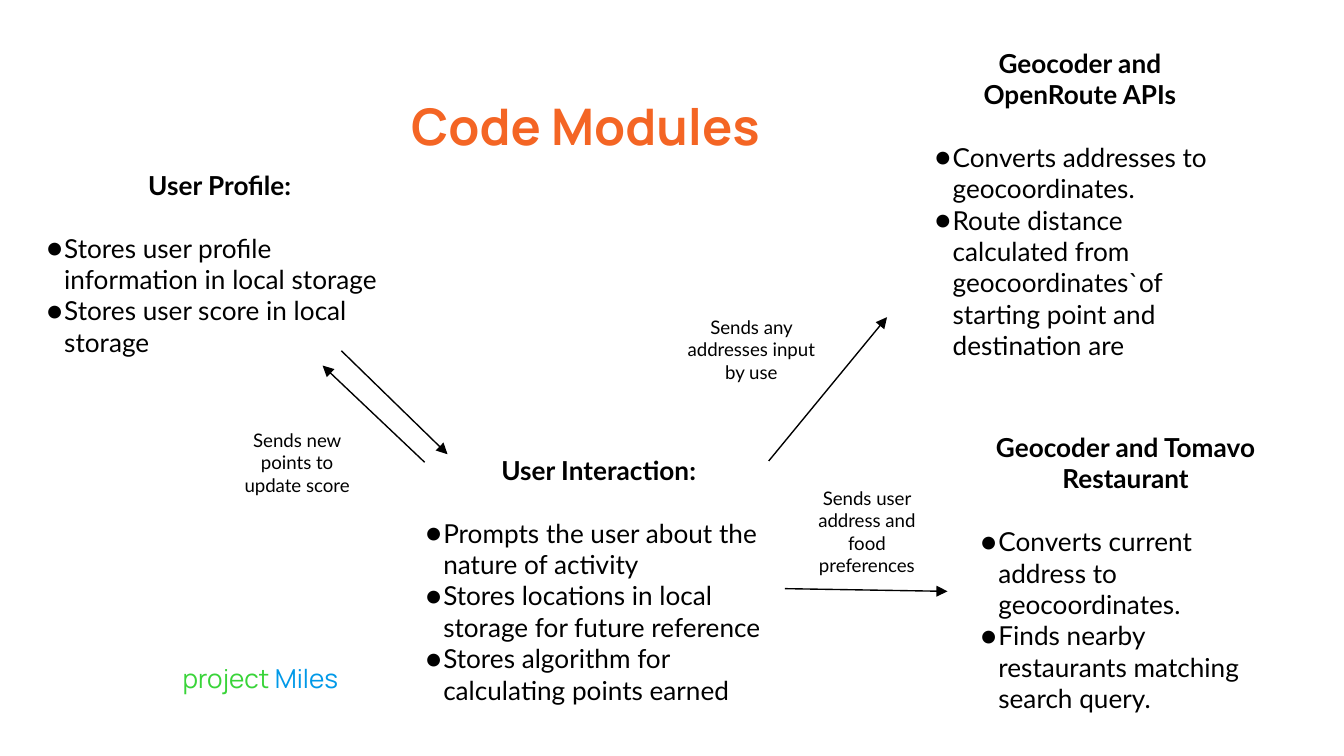
from dataclasses import dataclass

from lxml.etree import SubElement
from pptx import Presentation
from pptx.dml.color import RGBColor
from pptx.enum.shapes import MSO_CONNECTOR
from pptx.enum.text import MSO_ANCHOR, MSO_AUTO_SIZE, PP_ALIGN
from pptx.oxml.ns import qn
from pptx.util import Inches, Pt


@dataclass(frozen=True)
class Theme:
    body: str = "Lato"
    brand: str = "Manrope"
    ink: str = "000000"
    orange: str = "F46524"
    green: str = "39D439"
    blue: str = "0099E8"
    big: int = 27
    text: int = 14
    note: int = 10
    gap: float = 16.8  # one line of body text
    rule: float = 0.75


THEME = Theme()
COLS = 100
ROWS = COLS * 9 / 16  # widescreen
CELL = Inches(0.1)  # square grid cells

# Left, top, width, height in grid cells; heading; bullet points
MODULES = [
    ((2.5, 11.6, 27.7, 13.3), "User Profile:", [
        "Stores user profile information in local storage",
        "Stores user score in local storage"]),
    ((30.7, 32.8, 27.7, 20.1), "User Interaction:", [
        "Prompts the user about the nature of activity",
        "Stores locations in local storage for future reference",
        "Stores algorithm for calculating points earned"]),
    ((68.6, 2.5, 23.5, 26.9), "Geocoder and OpenRoute APIs", [
        "Converts addresses to geocoordinates.",
        "Route distance calculated from geocoordinates`of "
        "starting point and destination are"]),
    ((72, 31.1, 23.5, 23.5), "Geocoder and Tomavo Restaurant", [
        "Converts current address to geocoordinates.",
        "Finds nearby restaurants matching search query."]),
]

NOTES = [
    ((16.2, 30.9, 11.8, 7.2), "Sends new points to update score"),
    ((50, 22.5, 11.8, 6.9), "Sends any addresses input by use"),
    ((58.6, 35.2, 11.8, 7.7), "Sends user address and food preferences"),
]

# Start and end points in grid cells
ARROWS = [
    ((25.4, 26.1), (33.3, 33.8)),
    ((31.6, 34.4), (24, 27.2)),
    ((57.2, 34.3), (66, 23.6)),
    ((58.4, 43.8), (70.5, 44)),
]


def grid(cells):
    return [round(n * CELL) for n in cells]


def frame(shape):
    """Set the common margins, wrapping and anchor of a text shape."""
    text = shape.text_frame
    text.word_wrap = True
    text.auto_size = MSO_AUTO_SIZE.NONE
    text.vertical_anchor = MSO_ANCHOR.TOP
    text.margin_left = text.margin_right = CELL
    text.margin_top = text.margin_bottom = CELL
    return text


def box(slide, cells):
    return frame(slide.shapes.add_textbox(*grid(cells)))


def write(para, words, size=THEME.text, font=THEME.body, color=THEME.ink,
          bold=False, align=PP_ALIGN.LEFT, after=0):
    para.alignment = align
    para.line_spacing = 1.0
    para.space_before = Pt(0)
    para.space_after = Pt(after)
    run = para.add_run()
    run.text = words
    run.font.size = Pt(size)
    run.font.name = font
    run.font.bold = bold
    run.font.color.rgb = RGBColor.from_string(color)


def bullet(para):
    props = para._p.get_or_add_pPr()
    props.set("marL", str(Inches(0.13)))
    props.set("indent", str(Inches(-0.17)))
    tint = SubElement(props, qn("a:buClr"))
    SubElement(tint, qn("a:srgbClr"), val=THEME.ink)
    SubElement(props, qn("a:buFont"), typeface=THEME.body)
    SubElement(props, qn("a:buChar"), char="●")


def title(slide, cells, words):
    shape = slide.shapes.title
    shape.left, shape.top, shape.width, shape.height = grid(cells)
    write(frame(shape).paragraphs[0], words, size=THEME.big,
          font=THEME.brand, color=THEME.orange, bold=True)


def module(slide, cells, head, points):
    text = box(slide, cells)
    write(text.paragraphs[0], head, bold=True, align=PP_ALIGN.CENTER,
          after=THEME.gap)
    for point in points:
        para = text.add_paragraph()
        bullet(para)
        write(para, point)


def note(slide, cells, words):
    write(box(slide, cells).paragraphs[0], words, size=THEME.note,
          align=PP_ALIGN.CENTER)


def arrow(slide, start, end):
    link = slide.shapes.add_connector(
        MSO_CONNECTOR.STRAIGHT, *grid(start + end))
    link.line.width = Pt(THEME.rule)
    link.line.color.rgb = RGBColor.from_string(THEME.ink)
    SubElement(link.line._get_or_add_ln(), qn("a:tailEnd"), type="triangle")
    SubElement(link._element.spPr, qn("a:effectLst"))


def footer(slide, cells):
    para = box(slide, cells).paragraphs[0]
    for words, color in (("project ", THEME.green), ("Miles", THEME.blue)):
        write(para, words, font=THEME.brand, color=color)


def main():
    deck = Presentation()
    deck.slide_width, deck.slide_height = grid((COLS, ROWS))
    slide = deck.slides.add_slide(deck.slide_layouts[5])

    # Project name and title
    footer(slide, (12.6, 48.3, 14.2, 4.3))
    title(slide, (29.6, 6.1, 29.9, 7.3), "Code Modules")

    # Modules, the flows between them and their labels
    for item in MODULES:
        module(slide, *item)
    for ends in ARROWS:
        arrow(slide, *ends)
    for item in NOTES:
        note(slide, *item)

    deck.save("out.pptx")


if __name__ == "__main__":
    main()
